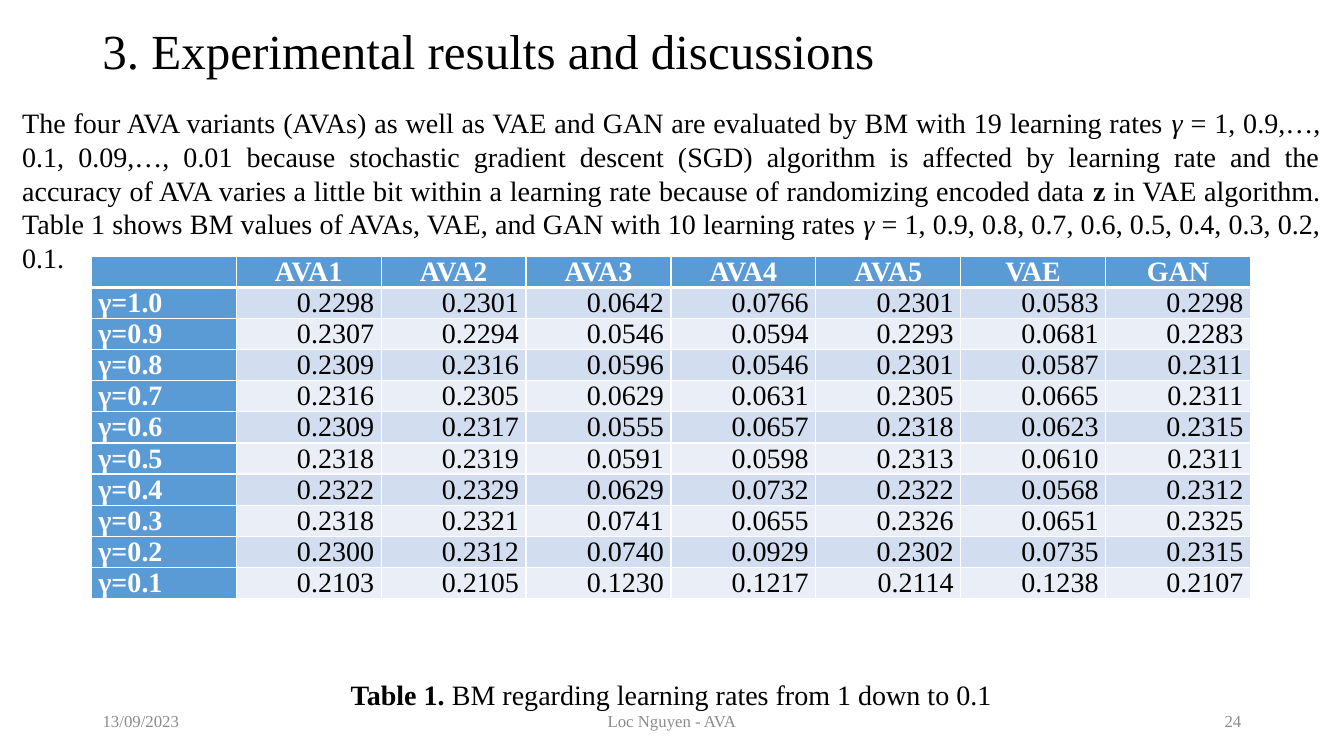
from lxml import etree
from pptx import Presentation
from pptx.dml.color import RGBColor
from pptx.enum.text import MSO_ANCHOR, MSO_AUTO_SIZE, PP_ALIGN
from pptx.oxml.ns import qn
from pptx.util import Inches, Pt

LEFT, MID, RIGHT, JUST = PP_ALIGN.LEFT, PP_ALIGN.CENTER, PP_ALIGN.RIGHT, PP_ALIGN.JUSTIFY
TOP, HALF = MSO_ANCHOR.TOP, MSO_ANCHOR.MIDDLE
FIXED = MSO_AUTO_SIZE.NONE

HUES = {"ink": "000000", "gray": "8C8C8C", "head": "5B9BD5",
        "odd": "D2DEEF", "even": "EAEFF7", "white": "FFFFFF"}

# Each run is its text and its style: plain, bold or italic
INTRO = [
    ("The four AVA variants (AVAs) as well as VAE and GAN are evaluated by BM "
     "with 19 learning rates ", ""),
    ("γ", "i"),
    (" = 1, 0.9,…, 0.1, 0.09,…, 0.01 because stochastic gradient descent (SGD) "
     "algorithm is affected by learning rate and the accuracy of AVA varies a "
     "little bit within a learning rate because of randomizing encoded data ", ""),
    ("z", "b"),
    (" in VAE algorithm. Table 1 shows BM values of AVAs, VAE, and GAN with 10 "
     "learning rates ", ""),
    ("γ", "i"),
    (" = 1, 0.9, 0.8, 0.7, 0.6, 0.5, 0.4, 0.3, 0.2, 0.1.", ""),
]
LABEL = [("Table 1. ", "b"), ("BM regarding learning rates from 1 down to 0.1", "")]

ROWS = [
    ["", "AVA1", "AVA2", "AVA3", "AVA4", "AVA5", "VAE", "GAN"],
    ["γ=1.0", "0.2298", "0.2301", "0.0642", "0.0766", "0.2301", "0.0583", "0.2298"],
    ["γ=0.9", "0.2307", "0.2294", "0.0546", "0.0594", "0.2293", "0.0681", "0.2283"],
    ["γ=0.8", "0.2309", "0.2316", "0.0596", "0.0546", "0.2301", "0.0587", "0.2311"],
    ["γ=0.7", "0.2316", "0.2305", "0.0629", "0.0631", "0.2305", "0.0665", "0.2311"],
    ["γ=0.6", "0.2309", "0.2317", "0.0555", "0.0657", "0.2318", "0.0623", "0.2315"],
    ["γ=0.5", "0.2318", "0.2319", "0.0591", "0.0598", "0.2313", "0.0610", "0.2311"],
    ["γ=0.4", "0.2322", "0.2329", "0.0629", "0.0732", "0.2322", "0.0568", "0.2312"],
    ["γ=0.3", "0.2318", "0.2321", "0.0741", "0.0655", "0.2326", "0.0651", "0.2325"],
    ["γ=0.2", "0.2300", "0.2312", "0.0740", "0.0929", "0.2302", "0.0735", "0.2315"],
    ["γ=0.1", "0.2103", "0.2105", "0.1230", "0.1217", "0.2114", "0.1238", "0.2107"],
]


class Deck:
    """Style and current slide; lengths are in a grid of 100 columns by 100 rows."""
    face = "Times New Roman"

    def __init__(self):
        self.show = Presentation()
        self.show.slide_width, self.show.slide_height = Inches(13.33), Inches(7.5)
        self.col = self.show.slide_width / 100
        self.row = self.show.slide_height / 100
        self.slide = self.show.slides.add_slide(self.show.slide_layouts[1])

    def area(self, x, y, w, h):
        return [round(n) for n in (x * self.col, y * self.row, w * self.col, h * self.row)]

    def place(self, shape, box, anchor):
        shape.left, shape.top, shape.width, shape.height = self.area(*box)
        frame = shape.text_frame
        frame.word_wrap, frame.auto_size = True, FIXED
        frame.vertical_anchor = anchor
        return frame

    def font(self, run, size, hue, style=""):
        run.font.name, run.font.size = self.face, Pt(size)
        run.font.color.rgb = RGBColor.from_string(HUES[hue])
        run.font.bold, run.font.italic = "b" in style, "i" in style

    def line(self, para, text, size, hue, align, style=""):
        para.text, para.alignment = text, align
        for run in para.runs:
            self.font(run, size, hue, style)

    def title(self, text, box):
        frame = self.place(self.slide.shapes.title, box, HALF)
        self.line(frame.paragraphs[0], text, 35, "ink", LEFT)

    def body(self, parts, box):
        frame = self.place(self.slide.placeholders[1], box, TOP)
        for i, (runs, align, gap) in enumerate(parts):
            para = frame.add_paragraph() if i else frame.paragraphs[0]
            para.alignment, para.line_spacing = align, 1.0
            para.space_before, para.space_after = Pt(gap), Pt(0)
            props = para._p.get_or_add_pPr()
            props.set("marL", "0")
            props.set("indent", "0")
            etree.SubElement(props, qn("a:buNone"))
            for text, style in runs:
                run = para.add_run()
                run.text = text
                self.font(run, 20, "ink", style)

    def note(self, text, box, align):
        shape = self.slide.shapes.add_textbox(*self.area(*box))
        frame = self.place(shape, box, HALF)
        self.line(frame.paragraphs[0], text, 12, "gray", align)

    def edge(self, cell, sides):
        props = cell._tc.get_or_add_tcPr()
        for i, (side, width) in enumerate(sides.items()):
            rule = etree.Element(qn(f"a:ln{side}"), w=str(Pt(width)))
            fill = etree.SubElement(rule, qn("a:solidFill"))
            etree.SubElement(fill, qn("a:srgbClr"), val=HUES["white"])
            props.insert(i, rule)

    def cell(self, cell, text, r, c):
        bold = r == 0 or c == 0
        cell.margin_left = cell.margin_right = Inches(0.07)
        cell.margin_top = cell.margin_bottom = 0
        fill = "head" if bold else "odd" if r % 2 else "even"
        cell.fill.solid()
        cell.fill.fore_color.rgb = RGBColor.from_string(HUES[fill])
        self.edge(cell, {"L": 1, "R": 1, "T": 3 if r == 1 else 1, "B": 3 if r == 0 else 1})
        align = MID if r == 0 else JUST if c == 0 else RIGHT
        self.line(cell.text_frame.paragraphs[0], text, 20,
                  "white" if bold else "ink", align, "b" if bold else "")

    def table(self, rows, box):
        grid = self.slide.shapes.add_table(len(rows), len(rows[0]), *self.area(*box)).table
        for r, row in enumerate(rows):
            for c, text in enumerate(row):
                self.cell(grid.cell(r, c), text, r, c)


def main():
    deck = Deck()

    # Title, text and table label
    deck.title("3. Experimental results and discussions", (6.87, 1.75, 86.25, 9.6))
    deck.body([(INTRO, JUST, 0), (LABEL, MID, 288.5)], (0.9, 13.33, 98.1, 75.5))

    # Footer
    deck.note("13/09/2023", (6.9, 92.7, 22.5, 5.3), LEFT)
    deck.note("Loc Nguyen - AVA", (33.12, 92.7, 33.75, 5.3), MID)
    deck.note("24", (70.6, 92.7, 22.5, 5.3), RIGHT)

    # Results
    deck.table(ROWS, (6.8, 33.9, 86.25, 45))

    deck.show.save("out.pptx")


if __name__ == "__main__":
    main()
